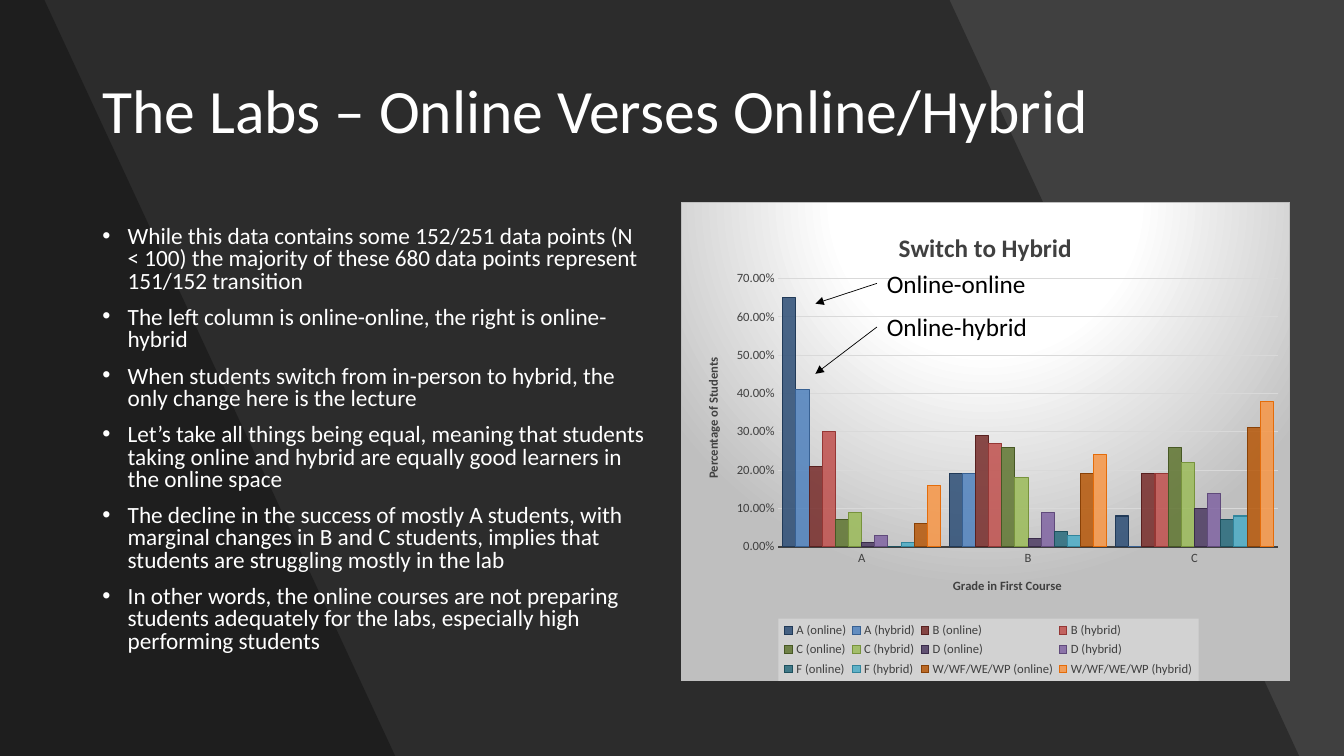
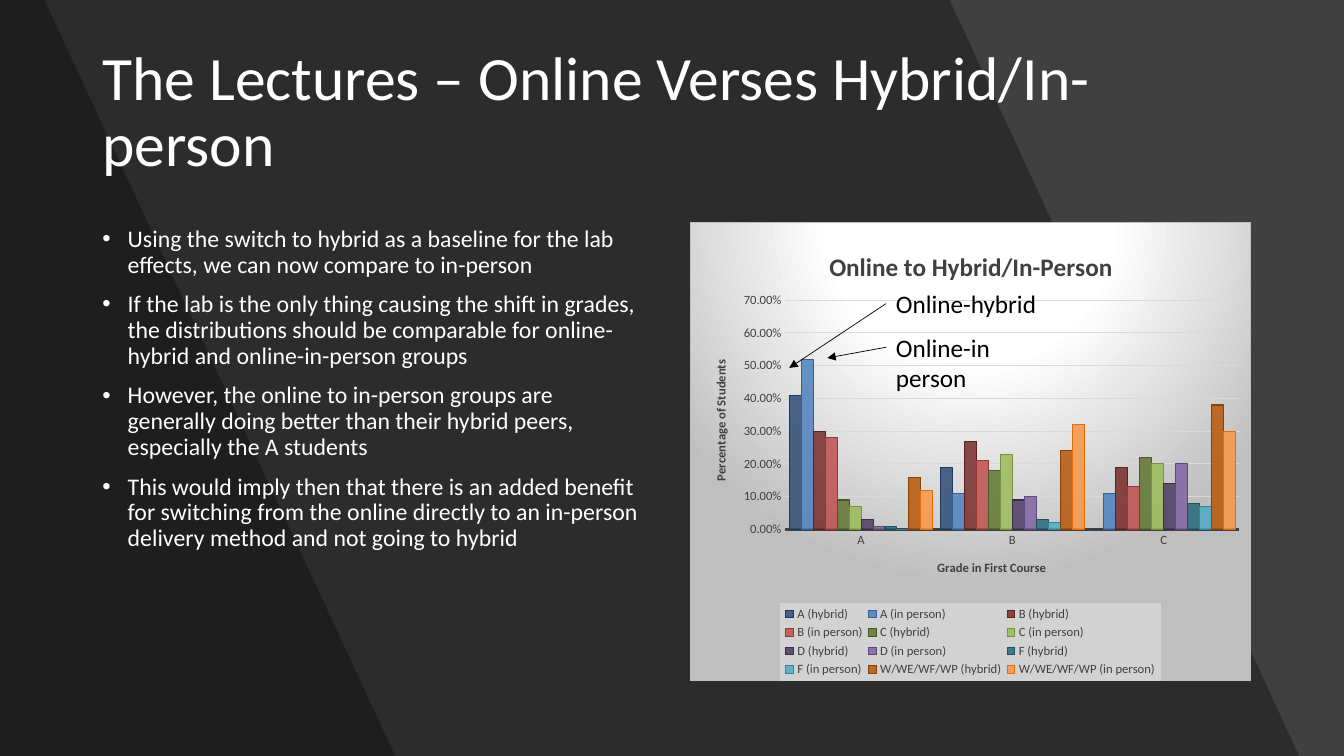
from collections import namedtuple

from lxml.etree import SubElement
from pptx import Presentation
from pptx.chart.data import CategoryChartData
from pptx.dml.color import RGBColor
from pptx.enum.chart import XL_CHART_TYPE as ChartType
from pptx.enum.chart import XL_LEGEND_POSITION as LegendPosition
from pptx.enum.chart import XL_TICK_MARK as TickMark
from pptx.enum.shapes import MSO_CONNECTOR as Connector
from pptx.enum.text import MSO_ANCHOR as Anchor
from pptx.oxml import parse_xml
from pptx.oxml.ns import nsdecls, qn
from pptx.util import Cm, Pt

Box = namedtuple("Box", "left top width height")

WIDTH, HEIGHT = 33.87, 19.05
TITLE_BOX = Box(2.33, 1.02, 29.21, 3.68)
BODY_BOX = Box(2.33, 5.59, 14.15, 11.58)
BANDS = [(23.93, 32.74), (1.12, 9.96)]

FONT = "Calibri"
WHITE = RGBColor(0xFF, 0xFF, 0xFF)
BLACK = RGBColor(0, 0, 0)
CHARCOAL = RGBColor(0x40, 0x40, 0x40)
GRID = RGBColor(0xD9, 0xD9, 0xD9)

GRADES = ["A", "B", "C"]
BAR_COLORS = [(RGBColor.from_string(fill), RGBColor.from_string(edge)) for fill, edge in [
    ("2C4D75", "213A58"), ("4F81BD", "376092"),
    ("772C2A", "592120"), ("C0504D", "953735"),
    ("5F7530", "475824"), ("9BBB59", "77933C"),
    ("4D3B62", "3A2C4A"), ("8064A2", "604A7B"),
    ("276A7C", "1E505D"), ("4BACC6", "31859C"),
    ("B65708", "894106"), ("F79646", "E46C0A"),
]]

ONLINE = [(0.65, 0.19, 0.08), (0.21, 0.29, 0.19), (0.07, 0.26, 0.26),
          (0.01, 0.02, 0.1), (0, 0.04, 0.07), (0.06, 0.19, 0.31)]
HYBRID = [(0.41, 0.19, 0), (0.3, 0.27, 0.19), (0.09, 0.18, 0.22),
          (0.03, 0.09, 0.14), (0.01, 0.03, 0.08), (0.16, 0.24, 0.38)]
IN_PERSON = [(0.52, 0.11, 0.11), (0.28, 0.21, 0.13), (0.07, 0.23, 0.2),
             (0.01, 0.1, 0.2), (0, 0.02, 0.07), (0.12, 0.32, 0.3)]

SLIDES = [
    dict(
        title="The Labs – Online Verses Online/Hybrid",
        bullets=[
            "While this data contains some 152/251 data points (N < 100) the majority of these "
            "680 data points represent 151/152 transition",
            "The left column is online-online, the right is online-hybrid",
            "When students switch from in-person to hybrid, the only change here is the lecture",
            "Let’s take all things being equal, meaning that students taking online and hybrid "
            "are equally good learners in the online space",
            "The decline in the success of mostly A students, with marginal changes in B and C "
            "students, implies that students are struggling mostly in the lab",
            "In other words, the online courses are not preparing students adequately for the "
            "labs, especially high performing students",
        ],
        size=16.6,
        spacing=0.8,
        chart_box=Box(17.15, 5.08, 15.37, 12.09),
        chart_title="Switch to Hybrid",
        withdrawn="W/WF/WE/WP",
        groups={"online": ONLINE, "hybrid": HYBRID},
        title_at=(0.35, 0.05),
        plot_at=(0.16, 0.16, 0.82, 0.56),
        legend_at=(0.16, 0.87, 0.69, 0.13),
        callouts=[("Online-online", 3.4, 2.57), ("Online-hybrid", 3.4, 4.34)],
    ),
    dict(
        title="The Lectures – Online Verses Hybrid/In-person",
        bullets=[
            "Using the switch to hybrid as a baseline for the lab effects, we can now compare "
            "to in-person",
            "If the lab is the only thing causing the shift in grades, the distributions should "
            "be comparable for online-hybrid and online-in-person groups",
            "However, the online to in-person groups are generally doing better than their "
            "hybrid peers, especially the A students",
            "This would imply then that there is an added benefit for switching from the online "
            "directly to an in-person delivery method and not going to hybrid",
        ],
        size=17,
        spacing=0.9,
        chart_box=Box(17.38, 5.59, 14.15, 11.58),
        chart_title="Online to Hybrid/In-Person",
        withdrawn="W/WE/WF/WP",
        groups={"hybrid": HYBRID, "in person": IN_PERSON},
        title_at=(0.24, 0.05),
        plot_at=(0.17, 0.17, 0.81, 0.5),
        legend_at=(0.16, 0.83, 0.68, 0.17),
        callouts=[("Online-hybrid", 2.51, 3.68), ("Online-in person", 3.47, 3.43)],
    ),
]


def style(font, size, color, bold=False):
    """Set the deck font with a size, colour and weight."""
    font.name, font.size, font.bold = FONT, Pt(size), bold
    font.color.rgb = color


def paint(fill, color, percent):
    """Fill with a colour of the given opacity."""
    fill.solid()
    fill.fore_color.rgb = color
    srgb = fill._xPr.find(".//" + qn("a:srgbClr"))
    SubElement(srgb, qn("a:alpha"), val=str(percent * 1000))


def text_frame(slide, box, wrap=True):
    """Add a text box and return the shape and its frame."""
    shape = slide.shapes.add_textbox(*map(Cm, box))
    shape.text_frame.word_wrap = wrap
    return shape, shape.text_frame


def add_backdrop(slide):
    """Draw the dark ground with its two slanted bands."""
    slide.background.fill.solid()
    slide.background.fill.fore_color.rgb = CHARCOAL
    for top_edge, bottom_edge in BANDS:
        outline = slide.shapes.build_freeform(0, 0)
        corners = [(top_edge, 0), (bottom_edge, HEIGHT), (0, HEIGHT)]
        outline.add_line_segments([(Cm(x), Cm(y)) for x, y in corners])
        band = outline.convert_to_shape()
        band.shadow.inherit = False
        band.line.fill.background()
        paint(band.fill, BLACK, 30)


def add_title(slide, box, title):
    """Write the slide title, centred vertically in its box."""
    _, frame = text_frame(slide, box)
    frame.vertical_anchor = Anchor.MIDDLE
    frame.text = title
    frame.paragraphs[0].line_spacing = 0.9
    style(frame.paragraphs[0].runs[0].font, 44, WHITE)


def add_bullets(slide, box, bullets, size, spacing):
    """Write the bulleted list."""
    _, frame = text_frame(slide, box)
    frame.text = "\n".join(bullets)
    for number, paragraph in enumerate(frame.paragraphs):
        paragraph.line_spacing = spacing
        paragraph.space_before = Pt(10 if number else 0)
        properties = paragraph._p.get_or_add_pPr()
        properties.set("marL", str(Cm(0.64)))
        properties.set("indent", str(-Cm(0.64)))
        SubElement(properties, qn("a:buFont"), typeface="Arial")
        SubElement(properties, qn("a:buChar"), char="•")
        style(paragraph.runs[0].font, size, WHITE)


def set_layout(part, fractions, after=None, inner=False):
    """Place a chart part at fractions of the chart area."""
    for old in part.findall(qn("c:layout")):
        part.remove(old)
    layout = parse_xml(f"<c:layout {nsdecls('c')}><c:manualLayout/></c:layout>")
    manual = layout[0]
    if inner:
        SubElement(manual, qn("c:layoutTarget"), val="inner")
    for tag in ("xMode", "yMode"):
        SubElement(manual, qn("c:" + tag), val="edge")
    for tag, fraction in zip("xywh", fractions):
        SubElement(manual, qn("c:" + tag), val=str(fraction))
    if after:
        part.find(qn(after)).addnext(layout)
    else:
        part.insert(0, layout)


def set_chart_ground(chart):
    """Give the chart area its radial gradient and thin border."""
    stops = "".join(
        f'<a:gs pos="{position}000"><a:srgbClr val="{color}"/></a:gs>'
        for position, color in [(0, "FFFFFF"), (39, "FFFFFF"), (100, "BFBFBF")])
    ground = parse_xml(
        f'<c:spPr {nsdecls("c", "a")}><a:gradFill><a:gsLst>{stops}</a:gsLst>'
        '<a:path path="circle"><a:fillToRect l="50000" t="-80000" r="50000" b="180000"/></a:path>'
        '</a:gradFill><a:ln w="9525"><a:solidFill><a:srgbClr val="BFBFBF"/></a:solidFill></a:ln>'
        '</c:spPr>')
    chart._chartSpace.find(qn("c:chart")).addnext(ground)


def format_axis(axis, title):
    """Style one axis with its title and labels."""
    axis.major_tick_mark = axis.minor_tick_mark = TickMark.NONE
    style(axis.tick_labels.font, 9, CHARCOAL)
    axis.axis_title.text_frame.text = title
    style(axis.axis_title.text_frame.paragraphs[0].runs[0].font, 9, CHARCOAL, True)


def format_axes(chart):
    """Style the grade and percentage axes."""
    grades, percentages = chart.category_axis, chart.value_axis
    format_axis(grades, "Grade in First Course")
    format_axis(percentages, "Percentage of Students")
    grades.format.line.color.rgb = CHARCOAL
    grades.format.line.width = Pt(1.5)
    percentages.format.line.fill.background()
    percentages.minimum_scale, percentages.maximum_scale = 0, 0.7
    percentages.major_unit = 0.1
    percentages.tick_labels.number_format = "0.00%"
    percentages.tick_labels.number_format_is_linked = False
    gridlines = percentages.major_gridlines.format.line
    gridlines.color.rgb, gridlines.width = GRID, Pt(0.75)


def format_legend(chart, fractions):
    """Place the legend at the bottom on a pale panel."""
    chart.has_legend = True
    legend = chart.legend
    legend.position = LegendPosition.BOTTOM
    legend.include_in_layout = False
    style(legend.font, 9, CHARCOAL)
    set_layout(legend._element, fractions, "c:legendPos")
    legend._element.find(qn("c:overlay")).addnext(parse_xml(
        f'<c:spPr {nsdecls("c", "a")}><a:solidFill><a:srgbClr val="F2F2F2">'
        '<a:alpha val="39000"/></a:srgbClr></a:solidFill></c:spPr>'))


def add_grade_chart(slide, box, content):
    """Draw the clustered columns comparing two groups of students."""
    data = CategoryChartData(number_format="0.00%")
    data.categories = GRADES
    outcomes = ["A", "B", "C", "D", "F", content["withdrawn"]]
    for row, outcome in enumerate(outcomes):
        for group, shares in content["groups"].items():
            data.add_series(f"{outcome} ({group})", shares[row])
    chart = slide.shapes.add_chart(ChartType.COLUMN_CLUSTERED, *map(Cm, box), data).chart
    style(chart.font, 10, WHITE)
    set_chart_ground(chart)
    chart.has_title = True
    heading = chart.chart_title
    heading.text_frame.text = content["chart_title"]
    style(heading.text_frame.paragraphs[0].runs[0].font, 18, CHARCOAL, True)
    set_layout(heading._element, content["title_at"], "c:tx")
    columns = chart.plots[0]
    columns.vary_by_categories = False
    columns.gap_width = 65
    for series, (fill, edge) in zip(columns.series, BAR_COLORS):
        series.invert_if_negative = False
        paint(series.format.fill, fill, 85)
        series.format.line.color.rgb = edge
        series.format.line.width = Pt(0.75)
    format_axes(chart)
    format_legend(chart, content["legend_at"])
    set_layout(chart._chartSpace.find(".//" + qn("c:plotArea")), content["plot_at"], inner=True)


def add_callouts(slide, box, callouts):
    """Label the first two columns with arrows."""
    for row, (caption, tip_x, tip_y) in enumerate(callouts):
        place = Box(box.left + 4.95, box.top + 1.55 + 1.1 * row, 4.1, 1.02)
        label, frame = text_frame(slide, place, wrap=False)
        frame.text = caption
        style(frame.paragraphs[0].runs[0].font, 18, BLACK)
        arrow = slide.shapes.add_connector(
            Connector.STRAIGHT, label.left, label.top,
            Cm(box.left + tip_x), Cm(box.top + tip_y))
        arrow.begin_connect(label, 1)
        arrow.line.color.rgb, arrow.line.width = BLACK, Pt(0.5)
        SubElement(arrow.line._get_or_add_ln(), qn("a:tailEnd"), type="triangle")
        SubElement(arrow._element.spPr, qn("a:effectLst"))


def add_comparison_slide(deck, content):
    """Build one slide with a list on the left and a chart on the right."""
    slide = deck.slides.add_slide(deck.slide_layouts[6])
    add_backdrop(slide)
    add_title(slide, TITLE_BOX, content["title"])
    add_bullets(slide, BODY_BOX, content["bullets"], content["size"], content["spacing"])
    add_grade_chart(slide, content["chart_box"], content)
    add_callouts(slide, content["chart_box"], content["callouts"])


def main():
    """Build and save the deck."""
    deck = Presentation()
    deck.slide_width, deck.slide_height = Cm(WIDTH), Cm(HEIGHT)
    for content in SLIDES:
        add_comparison_slide(deck, content)
    deck.save("out.pptx")


if __name__ == "__main__":
    main()
